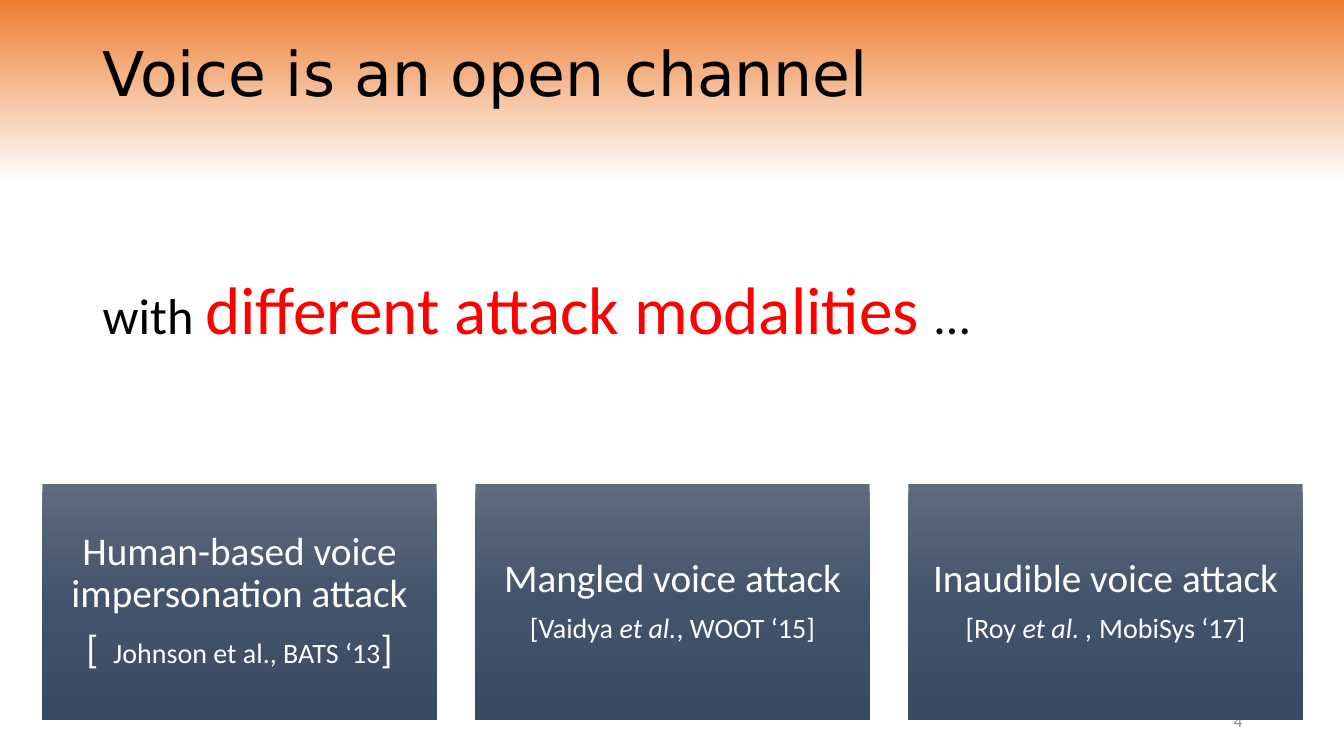
from dataclasses import dataclass

from lxml import etree
from pptx import Presentation
from pptx.dml.color import RGBColor
from pptx.enum.shapes import MSO_SHAPE
from pptx.enum.text import MSO_ANCHOR, PP_ALIGN
from pptx.oxml.ns import qn
from pptx.util import Inches, Pt

RECT = MSO_SHAPE.RECTANGLE
TOP, MIDDLE = MSO_ANCHOR.TOP, MSO_ANCHOR.MIDDLE
LEFT, CENTER, RIGHT = PP_ALIGN.LEFT, PP_ALIGN.CENTER, PP_ALIGN.RIGHT

BLACK, WHITE, RED, GREY = "000000", "FFFFFF", "FF0000", "8C8C8C"
BACKGROUND = [(73, WHITE), (76, WHITE), (100, "ED7D31")]
CARD_FILL = [(0, "606B7D"), (50, "42546C"), (100, "394A62")]
CARD_LEFT, CARD_TOP, CARD_W, CARD_H, CARD_STEP = 0.42, 4.8, 3.91, 2.34, 4.295


@dataclass
class Run:
    text: str
    size: float
    color: str = WHITE
    italic: bool = False
    font: str = "Calibri"


@dataclass
class Attack:
    name: str
    citation: list[Run]


ATTACKS = [
    Attack("Human-based voice impersonation attack",
           [Run("[ ", 28), Run(" Johnson et al., BATS ‘13", 20), Run("]", 28)]),
    Attack("Mangled voice attack",
           [Run("[Vaidya ", 20), Run("et al.", 20, italic=True), Run(", WOOT ‘15]", 20)]),
    Attack("Inaudible voice attack",
           [Run("[Roy ", 20), Run("et al. , ", 20, italic=True), Run("MobiSys ‘17]", 20)]),
]


def rgb(color: str) -> RGBColor:
    return RGBColor.from_string(color)


def set_gradient(fill, element, stops: list[tuple[int, str]], angle: int) -> None:
    """Fill with the stops; the angle runs counter-clockwise."""
    fill.gradient()
    fill.gradient_angle = angle
    gs_lst = element.find(".//" + qn("a:gsLst"))
    for gs in list(gs_lst):
        gs_lst.remove(gs)
    for position, color in stops:
        gs = etree.SubElement(gs_lst, qn("a:gs"), pos=str(position * 1000))
        etree.SubElement(gs, qn("a:srgbClr"), val=color)


def write(tf, paragraphs: list[list[Run]], align=LEFT, anchor=MIDDLE,
          spacing: float = 0.9, after: float = 0) -> None:
    tf.word_wrap = True
    tf.vertical_anchor = anchor
    for i, runs in enumerate(paragraphs):
        p = tf.add_paragraph() if i else tf.paragraphs[0]
        p.alignment = align
        p.line_spacing = spacing
        p.space_after = Pt(after)
        for run in runs:
            r = p.add_run()
            r.text = run.text
            r.font.name = run.font
            r.font.size = Pt(run.size)
            r.font.italic = run.italic
            r.font.color.rgb = rgb(run.color)


def add_text(s, x: float, y: float, w: float, h: float, runs: list[Run], **layout) -> None:
    box = s.shapes.add_textbox(Inches(x), Inches(y), Inches(w), Inches(h))
    write(box.text_frame, [runs], **layout)


def add_card(s, x: float, attack: Attack) -> None:
    sp = s.shapes.add_shape(RECT, Inches(x), Inches(CARD_TOP), Inches(CARD_W), Inches(CARD_H))
    sp.shadow.inherit = False
    sp.line.fill.background()
    set_gradient(sp.fill, sp._element, CARD_FILL, 270)
    tf = sp.text_frame
    tf.margin_left = tf.margin_right = tf.margin_top = tf.margin_bottom = Inches(0.12)
    write(tf, [[Run(attack.name, 28)], attack.citation], align=CENTER, after=9.8)


def main() -> None:
    prs = Presentation()
    prs.slide_width, prs.slide_height = Inches(13.33), Inches(7.5)
    s = prs.slides.add_slide(prs.slide_layouts[6])
    set_gradient(s.background.fill, s._element, BACKGROUND, 90)

    # Title and slide number
    add_text(s, 0.92, 0.03, 11.5, 1.45,
             [Run("Voice is an open channel", 44, BLACK, font="DejaVu Sans")])
    add_text(s, 9.42, 6.95, 3, 0.4, [Run("4", 12, GREY)], align=RIGHT, spacing=1.0)

    # Attack cards
    for i, attack in enumerate(ATTACKS):
        add_card(s, CARD_LEFT + i * CARD_STEP, attack)

    # Statement
    add_text(s, 0.92, 2.69, 8.85, 0.85,
             [Run("with ", 36, BLACK), Run("different attack modalities ", 48, RED),
              Run("…", 36, BLACK)], anchor=TOP)

    prs.save("out.pptx")


if __name__ == "__main__":
    main()
